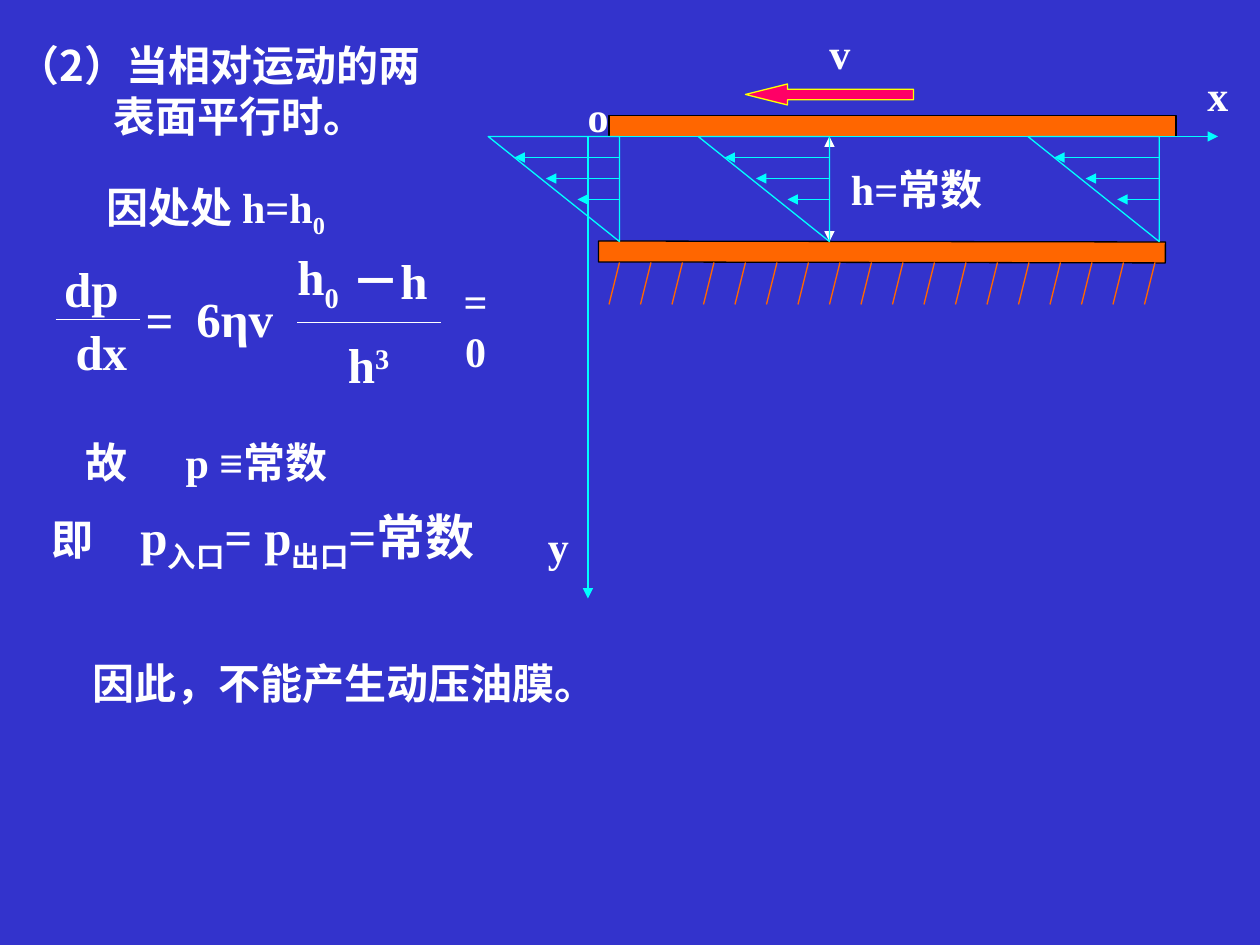
"""Build the slide on pressure between parallel moving plates on a 120 x 90 grid."""
from dataclasses import dataclass
from typing import NamedTuple

from lxml import etree
from pptx import Presentation
from pptx.dml.color import RGBColor
from pptx.enum.shapes import MSO_CONNECTOR, MSO_SHAPE
from pptx.enum.text import MSO_ANCHOR, MSO_AUTO_SIZE, PP_ALIGN
from pptx.oxml.ns import qn
from pptx.util import Inches, Pt

STRAIGHT = MSO_CONNECTOR.STRAIGHT
RECT, LEFT_ARROW = MSO_SHAPE.RECTANGLE, MSO_SHAPE.LEFT_ARROW
MIDDLE, GROW = MSO_ANCHOR.MIDDLE, MSO_AUTO_SIZE.SHAPE_TO_FIT_TEXT
LEFT, CENTER = PP_ALIGN.LEFT, PP_ALIGN.CENTER

BLUE = RGBColor(0x33, 0x33, 0xCC)
WHITE = RGBColor(0xFF, 0xFF, 0xFF)
BLACK = RGBColor(0, 0, 0)
ORANGE = RGBColor(0xFF, 0x66, 0x00)
CYAN = RGBColor(0x00, 0xFF, 0xFF)
PINK = RGBColor(0xFF, 0x00, 0x66)
YELLOW = RGBColor(0xFF, 0xFF, 0x00)

SERIF, SANS = "Times New Roman", "Noto Sans CJK SC"
SUB, SUPER = -25, 30
WIDTH, HEIGHT = Inches(10), Inches(7.5)
COLUMNS = 120
CELL = WIDTH // COLUMNS
FILM_TOP, FILM_BOTTOM = 13, 23


class Run(NamedTuple):
    text: str
    size: int = 24
    base: int = 0


@dataclass
class Label:
    col: float
    row: float
    cols: float
    rows: float
    paragraphs: list[list[Run]]
    font: str = SERIF
    align: PP_ALIGN = CENTER
    wrap: bool = False
    tab: float = 0
    indent: float = 0


class Bar(NamedTuple):
    kind: MSO_SHAPE
    col: float
    row: float
    cols: float
    rows: float
    fill: RGBColor
    line: RGBColor
    angle: float = 0


class Line(NamedTuple):
    col1: float
    row1: float
    col2: float
    row2: float
    color: RGBColor
    head: bool = False
    tail: bool = False


LABELS = [
    Label(0.5, 3.2, 48, 10.8, [[Run("（2）当相对运动的两")], [Run("表面平行时。")]],
          font=SANS, align=LEFT, wrap=True, indent=9.1),
    Label(8.5, 16.7, 24.1, 6.7, [[Run("因处处 h=h"), Run("0", base=SUB)]]),
    Label(17.5, 26.9, 9.7, 6.8, [[Run("6ηv", 28)]]),
    Label(4.9, 24, 7.6, 6.8, [[Run("dp", 28)]]),
    Label(6, 30, 7.3, 6.8, [[Run("dx", 28)]]),
    Label(12.7, 27, 5, 6.8, [[Run("=", 28)]]),
    Label(27.1, 22.9, 6.4, 7.6, [[Run("h", 28), Run("0", 28, SUB)]]),
    Label(31.7, 23.3, 10.8, 6.8, [[Run("－h", 28)]]),
    Label(31.9, 31.3, 6.4, 6.8, [[Run("h", 28), Run("3", 28, SUPER)]]),
    Label(42, 28, 6.6, 6, [[Run("=0")]]),
    Label(7, 41, 27.4, 6, [[Run("故\tp ≡常数")]], align=LEFT, wrap=True, tab=9.5),
    Label(3.7, 47.6, 49, 7.6,
          [[Run("即\t"), Run("p", 28), Run("入口", 28, SUB), Run("= p", 28),
            Run("出口", 28, SUB), Run("=常数", 28)]], align=LEFT, wrap=True, tab=8.5),
    Label(7.6, 62, 50.4, 6, [[Run("因此，不能产生动压油膜。")]]),
    Label(113.8, 6, 4.3, 6, [[Run("x")]]),
    Label(51, 49, 4.3, 6, [[Run("y")]]),
    Label(54.8, 8, 4.3, 6, [[Run("o")]]),
    Label(77.8, 2, 4.3, 6, [[Run("v")]]),
    Label(79.4, 15, 15.8, 6, [[Run("h=常数")]]),
]
BARS = [
    Bar(RECT, 58, 11, 54, 2, ORANGE, BLACK),
    Bar(RECT, 57, 23, 54, 2, ORANGE, BLACK, 0.1),
    Bar(LEFT_ARROW, 71, 8, 16, 2, PINK, YELLOW),
]
FRACTIONS = [Line(5.3, 30.4, 13.3, 30.4, WHITE), Line(28.3, 30.7, 42, 30.7, WHITE)]
HATCH = [Line(59 + 3 * i, 25, 58 + 3 * i, 29, ORANGE) for i in range(18)]
AXES = [
    Line(56, FILM_TOP, 116, FILM_TOP, CYAN, tail=True),
    Line(56, FILM_TOP, 56, 57, CYAN, tail=True),
    Line(79, FILM_TOP, 79, FILM_BOTTOM, WHITE, head=True, tail=True),
]
PROFILES = [59, 79, 110.4]


def grid(n: float) -> int:
    """Turn grid cells into EMU."""
    return round(n * CELL)


def add_label(s, label: Label) -> None:
    """Draw a text box with its formatted runs."""
    sp = s.shapes.add_textbox(grid(label.col), grid(label.row), grid(label.cols), grid(label.rows))
    tf = sp.text_frame
    tf.word_wrap, tf.auto_size, tf.vertical_anchor = label.wrap, GROW, MIDDLE
    for i, runs in enumerate(label.paragraphs):
        p = tf.add_paragraph() if i else tf.paragraphs[0]
        p.alignment = label.align
        pPr = p._p.get_or_add_pPr()
        if i and label.indent:
            pPr.set("marL", str(grid(label.indent)))
        if label.tab:
            tabs = etree.SubElement(pPr, qn("a:tabLst"))
            etree.SubElement(tabs, qn("a:tab"), pos=str(grid(label.tab)), algn="l")
        for run in runs:
            r = p.add_run()
            r.text = run.text
            r.font.name, r.font.size, r.font.bold = label.font, Pt(run.size), True
            r.font.color.rgb = WHITE
            rPr = r._r.get_or_add_rPr()
            etree.SubElement(rPr, qn("a:ea"), typeface=SANS)
            if run.base:
                rPr.set("baseline", str(run.base * 1000))


def add_bar(s, bar: Bar) -> None:
    """Draw a plate or the block arrow."""
    sp = s.shapes.add_shape(bar.kind, grid(bar.col), grid(bar.row), grid(bar.cols), grid(bar.rows))
    sp.shadow.inherit = False
    sp.fill.solid()
    sp.fill.fore_color.rgb = bar.fill
    sp.line.color.rgb, sp.line.width = bar.line, Pt(0.75)
    sp.rotation = bar.angle
    if bar.kind == LEFT_ARROW:
        sp.adjustments[1] = 2


def add_line(s, line: Line) -> None:
    """Draw a straight line with optional arrowheads."""
    sp = s.shapes.add_connector(STRAIGHT, grid(line.col1), grid(line.row1),
                                grid(line.col2), grid(line.row2))
    sp.line.color.rgb, sp.line.width = line.color, Pt(0.75)
    ln = sp.line._get_or_add_ln()
    for tag, shown in (("a:headEnd", line.head), ("a:tailEnd", line.tail)):
        if shown:
            etree.SubElement(ln, qn(tag), type="triangle")
    etree.SubElement(sp._element.spPr, qn("a:effectLst"))


def add_profile(s, col: float) -> None:
    """Draw a triangular velocity profile whose upright side is at col."""
    x, top = grid(col), grid(FILM_TOP)
    outline = s.shapes.build_freeform(x, top)
    outline.add_line_segments([(grid(col - 12.5), top), (x, grid(FILM_BOTTOM))], close=True)
    sp = outline.convert_to_shape()
    sp.shadow.inherit = False
    sp.fill.background()
    sp.line.color.rgb, sp.line.width = CYAN, Pt(0.75)
    for i in range(3):
        row = FILM_TOP + 2 * (i + 1)
        add_line(s, Line(col, row, col - 10 + 3 * i, row, CYAN, tail=True))


def main() -> None:
    """Assemble and save the slide."""
    prs = Presentation()
    prs.slide_width, prs.slide_height = WIDTH, HEIGHT
    s = prs.slides.add_slide(prs.slide_layouts[6])
    s.background.fill.solid()
    s.background.fill.fore_color.rgb = BLUE
    for bar in BARS:
        add_bar(s, bar)
    for line in FRACTIONS + HATCH + AXES:
        add_line(s, line)
    for col in PROFILES:
        add_profile(s, col)
    for label in LABELS:
        add_label(s, label)
    prs.save("out.pptx")


if __name__ == "__main__":
    main()
